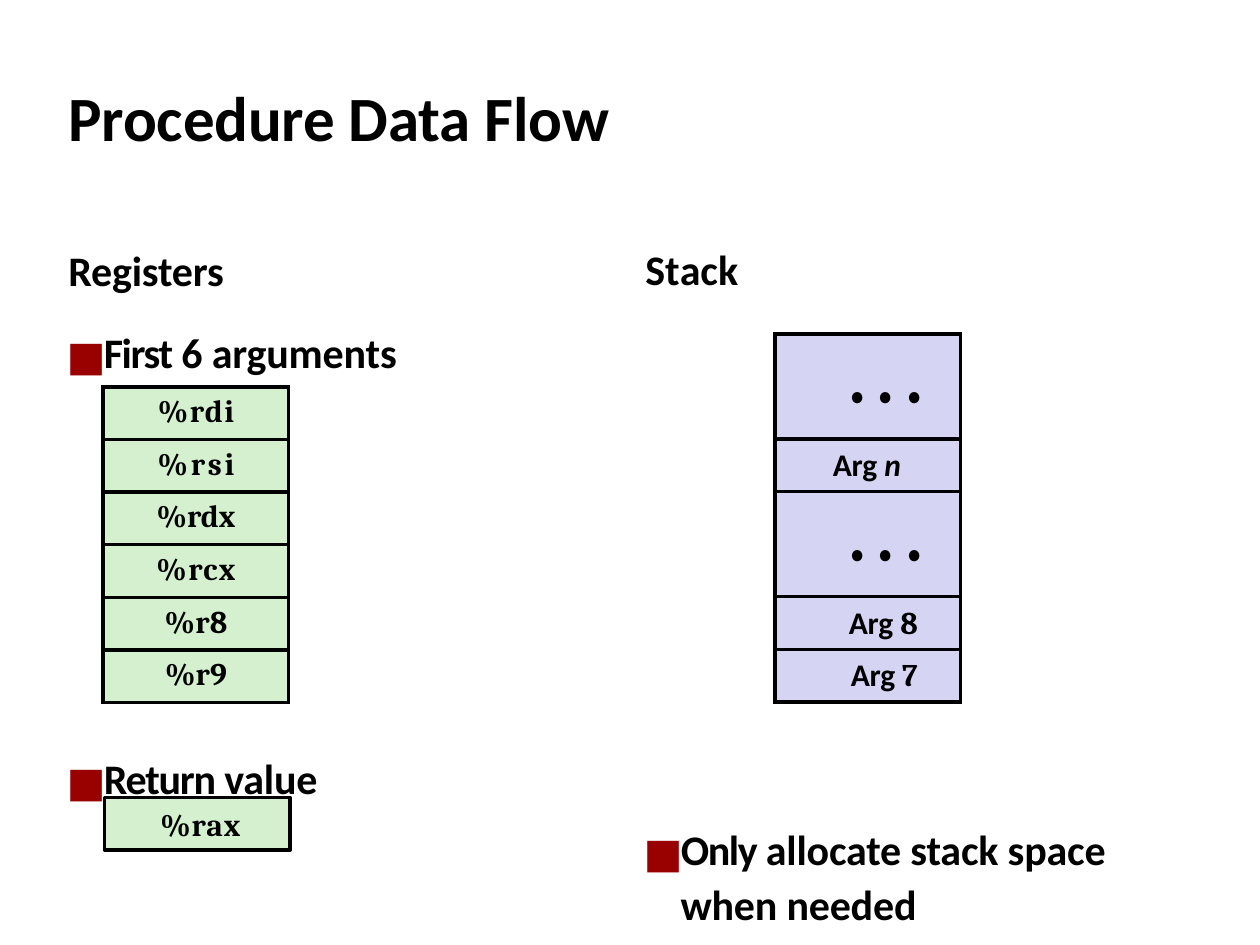
from lxml import etree
from pptx import Presentation, util as u
from pptx.dml.color import RGBColor
from pptx.enum import shapes, text
from pptx.oxml import ns

HUES = {"ink": "000000", "mark": "990000", "reg": "D4F0CE", "stack": "D5D5F3"}
FONTS = {
    "title": {"name": "Calibri", "size": u.Pt(36), "bold": True},
    "head": {"name": "Calibri", "size": u.Pt(24), "bold": True},
    "mark": {"name": "Lato", "size": u.Pt(36), "bold": False},
    "code": {"name": "Cambria", "size": u.Pt(18), "bold": True},
    "arg": {"name": "Calibri", "size": u.Pt(18), "bold": True},
    "var": {"name": "Calibri", "size": u.Pt(18), "bold": True, "italic": True},
    "dots": {"name": "Noto Sans CJK JP", "size": u.Pt(24), "bold": False},
}


def write(par, runs):
    for words, kind, gap in runs:
        run = par.add_run()
        run.text = words
        for key, val in FONTS[kind].items():
            setattr(run.font, key, val)
        hue = HUES["mark" if kind == "mark" else "ink"]
        run.font.color.rgb = RGBColor.from_string(hue)
        props = run.font._element
        props.set("spc", str(round(gap * 100)))
        if kind == "mark":
            props.set("baseline", "-3000")


def inset(box, left, top, right=0):
    sides = {"left": left, "top": top, "right": right, "bottom": 0}
    for side, size in sides.items():
        setattr(box, "margin_" + side, u.Cm(size))


deck = Presentation()
deck.slide_width, deck.slide_height = u.Cm(25.4), u.Cm(19.05)
slide = deck.slides.add_slide(deck.slide_layouts[6])

LEFT, RIGHT = 1.35, 12.98
first = [("⬛", "mark", -1.2), ("First ", "head", -0.8), ("6", "head", 0), (" arguments", "head", -0.1)]
back = [("⬛", "mark", -1), ("Return ", "head", -0.7), ("value", "head", -0.1)]
need = [("⬛", "mark", -1.3), ("Only ", "head", -0.8), ("allocate stack space when needed", "head", -0.1)]
stack = [("S", "head", 0), ("t", "head", -0.3), ("ack", "head", 0)]
boxes = [
    (LEFT, 1.55, 11.02, 1.6, 0.03, [[("Procedure Data Flow", "title", -0.1)]]),
    (LEFT, 4.67, 6.86, 2.54, 0.25, [[("Registers", "head", -0.1)], first]),
    (LEFT, 14.71, 5.23, 1.09, 0.03, [back]),
    (RIGHT, 4.88, 1.98, 1.09, 0.03, [stack]),
    (RIGHT, 16.15, 9.53, 2.11, 0.03, [need]),
]
for left, top, wide, high, pad, pars in boxes:
    frame = slide.shapes.add_textbox(u.Cm(left), u.Cm(top), u.Cm(wide), u.Cm(high)).text_frame
    frame.word_wrap = True
    inset(frame, 0, pad)
    for row, runs in enumerate(pars):
        par = frame.add_paragraph() if row else frame.paragraphs[0]
        props = par._p.get_or_add_pPr()
        hang = runs is need
        props.set("marL", str(u.Cm(0.74 if hang else 0.03)))
        props.set("indent", str(u.Cm(-0.71 if hang else 0)))
        if row:
            par.space_before = u.Pt(6.2)
        write(par, runs)

WIDE, ROW = 3.74, 1.06
MID, END, START = text.PP_ALIGN.CENTER, text.PP_ALIGN.RIGHT, text.PP_ALIGN.LEFT
names = {"%rdi": 0.8, "%rsi": 1.6, "%rdx": 0, "%rcx": 0.8, "%r8": 0.1, "%r9": 0.1}
regs = [(1, MID, 0, 0.15, 0, [(name, "code", gap)]) for name, gap in names.items()]
dots = (2, END, 0, 0.56, 0.78, [("• • •", "dots", 1.4)])
args = [(1, END, 0, 0.15, 0.86, [("Arg ", "arg", -0.1), (num, "code", 0)]) for num in "87"]
last = (1, START, 1.17, 0.15, 0, [("Arg ", "arg", -0.1), ("n", "var", 0)])
grids = [(2.08, 7.8, "reg", regs), (15.62, 6.73, "stack", [dots, last, dots, *args])]

for left, top, hue, rows in grids:
    high = sum(row[0] for row in rows) * ROW
    grid = slide.shapes.add_table(len(rows), 1, u.Cm(left), u.Cm(top), u.Cm(WIDE), u.Cm(high)).table
    grid.first_row = grid.horz_banding = False
    for num, (span, side, start, pad, end, runs) in enumerate(rows):
        grid.rows[num].height = u.Cm(span * ROW)
        cell = grid.cell(num, 0)
        inset(cell, start, pad, end)
        cell.vertical_anchor = text.MSO_ANCHOR.TOP
        props = cell._tc.get_or_add_tcPr()
        for edge in ("lnL", "lnR", "lnT", "lnB"):
            line = etree.SubElement(props, ns.qn("a:" + edge), w=str(u.Pt(2.25)))
            paint = etree.SubElement(line, ns.qn("a:solidFill"))
            etree.SubElement(paint, ns.qn("a:srgbClr"), val=HUES["ink"])
        cell.fill.solid()
        cell.fill.fore_color.rgb = RGBColor.from_string(HUES[hue])
        par = cell.text_frame.paragraphs[0]
        par.alignment = side
        write(par, runs)

rax = slide.shapes.add_shape(shapes.MSO_SHAPE.RECTANGLE, u.Cm(2.11), u.Cm(16.08), u.Cm(WIDE), u.Cm(ROW))
rax.shadow.inherit = False
rax.fill.solid()
rax.fill.fore_color.rgb = RGBColor.from_string(HUES["reg"])
rax.line.color.rgb = RGBColor.from_string(HUES["ink"])
rax.line.width = u.Pt(2)
frame = rax.text_frame
frame.vertical_anchor = text.MSO_ANCHOR.TOP
inset(frame, 1.12, 0.15)
par = frame.paragraphs[0]
par.alignment = START
write(par, [("%rax", "code", 0.5)])

deck.save("out.pptx")
